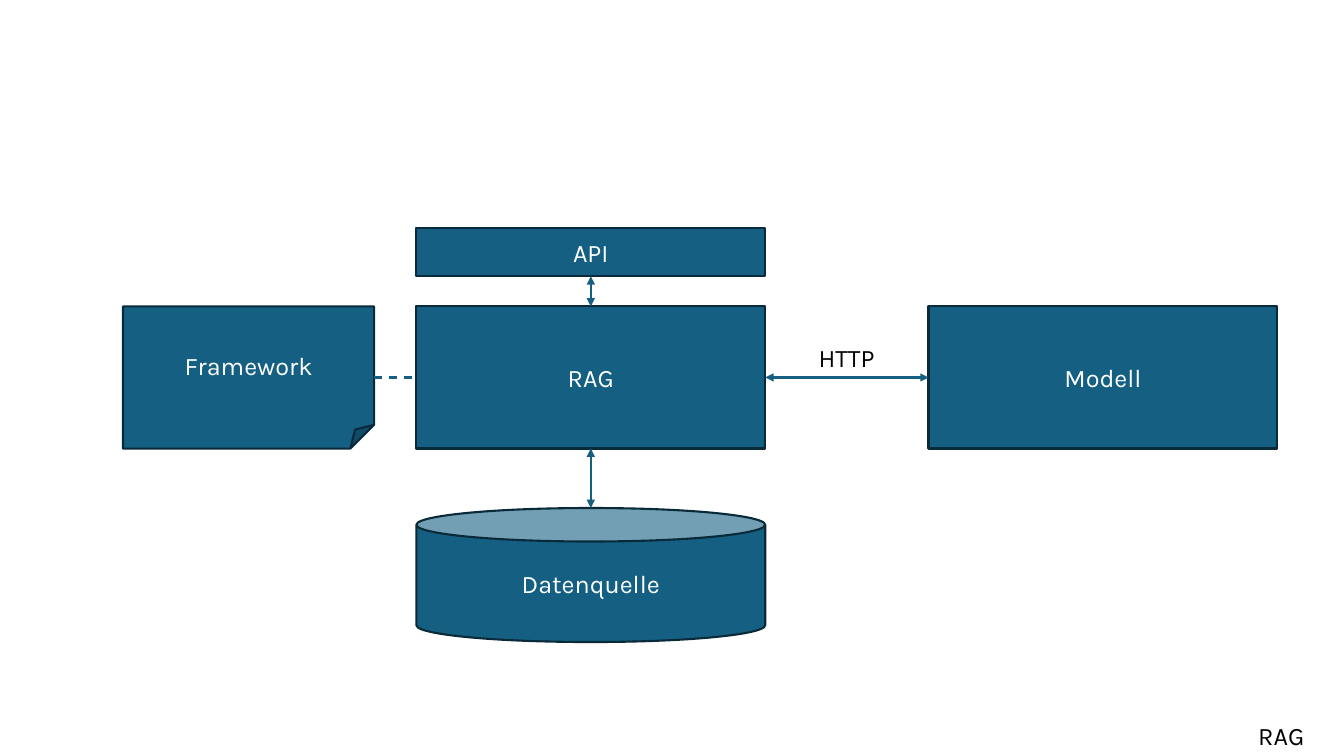
import pptx
import pptx.dml.color
import pptx.enum.dml
import pptx.enum.shapes
import pptx.enum.text
import pptx.oxml.ns
import pptx.util
from pptx.util import Inches
from lxml import etree

RGBColor = pptx.dml.color.RGBColor
BLUE = RGBColor(0x15, 0x60, 0x82)
DARK_BLUE = RGBColor(0x09, 0x2A, 0x39)
WHITE = RGBColor(0xFF, 0xFF, 0xFF)
BLACK = RGBColor(0x00, 0x00, 0x00)

MSO_SHAPE = pptx.enum.shapes.MSO_SHAPE
FONT = "Karla"
LINE_WIDTH = pptx.util.Pt(1.5)
TOP, LEFT, BOTTOM, RIGHT = range(4)

# Shared geometry, in inches
COLUMN_LEFT = 4.13
BOX_WIDTH = 3.46
COLUMN_MIDDLE = COLUMN_LEFT + BOX_WIDTH / 2
ROW_TOP = 3.04
ROW_HEIGHT = 1.41
SOURCE_TOP = 5.04


def add_text(paragraph, text, color):
    run = paragraph.add_run()
    run.text = text
    run.font.name = FONT
    run.font.size = pptx.util.Pt(18)
    run.font.color.rgb = color


def add_component(slide, kind, text, left, top, width, height):
    component = slide.shapes.add_shape(
        kind, Inches(left), Inches(top), Inches(width), Inches(height))
    component.shadow.inherit = False
    component.fill.solid()
    component.fill.fore_color.rgb = BLUE
    component.line.color.rgb = DARK_BLUE
    component.line.width = LINE_WIDTH
    frame = component.text_frame
    frame.word_wrap = True
    frame.vertical_anchor = pptx.enum.text.MSO_ANCHOR.MIDDLE
    frame.paragraphs[0].alignment = pptx.enum.text.PP_ALIGN.CENTER
    add_text(frame.paragraphs[0], text, WHITE)
    return component


def add_label(slide, text, left, top, width):
    label = slide.shapes.add_textbox(
        Inches(left), Inches(top), Inches(width), Inches(0.4))
    label.text_frame.word_wrap = False
    label.text_frame.auto_size = pptx.enum.text.MSO_AUTO_SIZE.SHAPE_TO_FIT_TEXT
    add_text(label.text_frame.paragraphs[0], text, BLACK)


def add_link(slide, start=(0, 0), end=(0, 0)):
    link = slide.shapes.add_connector(
        pptx.enum.shapes.MSO_CONNECTOR.STRAIGHT,
        *(Inches(value) for value in start + end))
    link.line.color.rgb = BLUE
    link.line.width = LINE_WIDTH
    etree.SubElement(link._element.spPr, pptx.oxml.ns.qn("a:effectLst"))
    return link


def add_arrowheads(link):
    outline = link.line._get_or_add_ln()
    for tag in ("a:headEnd", "a:tailEnd"):
        etree.SubElement(outline, pptx.oxml.ns.qn(tag), type="triangle")


def main():
    presentation = pptx.Presentation()
    presentation.slide_width = Inches(13.33)
    presentation.slide_height = Inches(7.5)
    slide = presentation.slides.add_slide(presentation.slide_layouts[6])

    # Slide caption
    add_label(slide, "RAG", 12.38, 7.1, 0.68)

    # Components
    rag = add_component(slide, MSO_SHAPE.RECTANGLE, "RAG",
                        COLUMN_LEFT, ROW_TOP, BOX_WIDTH, ROW_HEIGHT)
    api = add_component(slide, MSO_SHAPE.RECTANGLE, "API",
                        COLUMN_LEFT, 2.26, BOX_WIDTH, 0.48)
    framework = add_component(slide, MSO_SHAPE.FOLDED_CORNER, "Framework",
                              1.22, ROW_TOP, 2.49, ROW_HEIGHT)
    model = add_component(slide, MSO_SHAPE.RECTANGLE, "Modell",
                          9.21, ROW_TOP, BOX_WIDTH, ROW_HEIGHT)
    add_component(slide, MSO_SHAPE.CAN, "Datenquelle",
                  COLUMN_LEFT, SOURCE_TOP, BOX_WIDTH, 1.33)

    # Two-way links between components
    for first, first_side, second, second_side in (
            (rag, RIGHT, model, LEFT), (api, BOTTOM, rag, TOP)):
        link = add_link(slide)
        link.begin_connect(first, first_side)
        link.end_connect(second, second_side)
        add_arrowheads(link)
    add_label(slide, "HTTP", 8.02, 3.35, 0.77)

    # Two-way link down to the data source
    source_link = add_link(slide, (COLUMN_MIDDLE, ROW_TOP + ROW_HEIGHT),
                           (COLUMN_MIDDLE, SOURCE_TOP))
    source_link.begin_connect(rag, BOTTOM)
    add_arrowheads(source_link)

    # Dashed note link to the framework
    framework_link = add_link(slide)
    framework_link.begin_connect(framework, RIGHT)
    framework_link.end_connect(rag, LEFT)
    framework_link.line.dash_style = pptx.enum.dml.MSO_LINE.DASH

    presentation.save("out.pptx")


if __name__ == "__main__":
    main()
